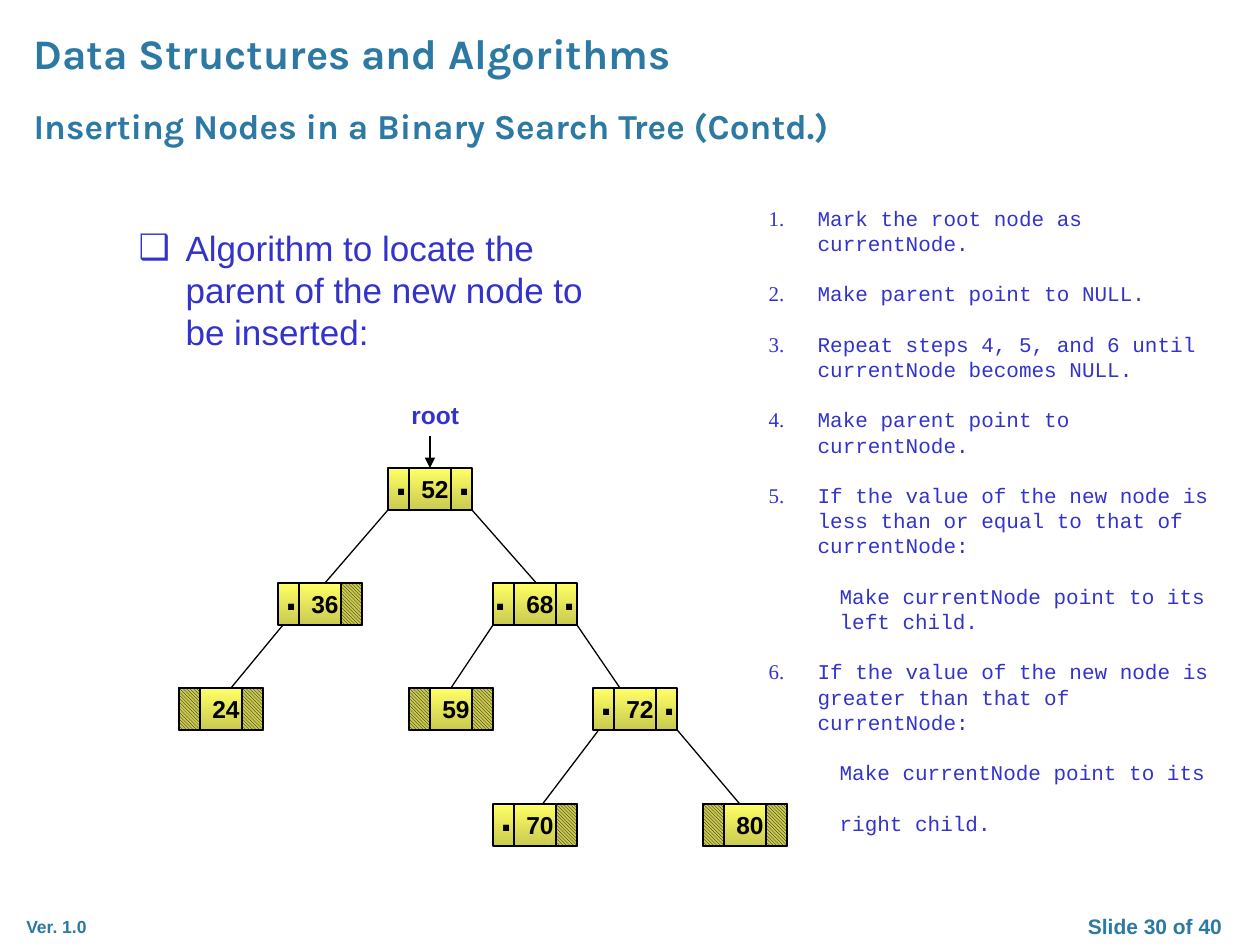
from lxml import etree
from pptx import Presentation
from pptx import util as u
from pptx.dml.color import RGBColor
from pptx.enum import dml, shapes, text
from pptx.oxml.ns import qn

SCALE = 914400 / 126
TEAL, BLUE, BLACK = "2C79A4", "3333CC", "000000"
YELLOW, OLIVE = "FFFF66", "CACA51"

TITLE = "Inserting Nodes in a Binary Search Tree (Contd.)"
INTRO = "Algorithm to locate the parent of the new node to be inserted:"
STEPS = [
    ("1.", "Mark the root node as currentNode."),
    ("2.", "Make parent point to NULL."),
    ("3.", "Repeat steps 4, 5, and 6 until currentNode becomes NULL."),
    ("4.", "Make parent point to currentNode."),
    ("5.", "If the value of the new node is less than or equal to that of currentNode:"),
    ("", "Make currentNode point to its left child."),
    ("6.", "If the value of the new node is greater than that of currentNode:"),
    ("", "Make currentNode point to its"),
    ("", "right child."),
]
LABELS = [
    ("Data Structures and Algorithms", (21, 21, 1050, 64), "Karla", 24, TEAL, "LEFT"),
    ("Ver. 1.0", (14, 910, 100, 34), "Arial", 10, TEAL, "LEFT"),
    ("Slide 30 of 40", (1050, 907, 210, 38), "Arial", 12, TEAL, "CENTER"),
    ("root", (399, 394, 84, 42), "Arial", 14, BLUE, "LEFT"),
]
ROOT_ARROW = (430, 436, 430, 468)

CELL, NODE_W, NODE_H = 21, 84, 42
DOT_W, DOT_H, DOT_RISE = 37, 63, 21
LEFT_DOT, RIGHT_DOT = -5, 58
NODES = [
    ("52", 388, 468, LEFT_DOT, RIGHT_DOT),
    ("36", 278, 583, LEFT_DOT, None),
    ("68", 493, 583, -11, RIGHT_DOT),
    ("24", 179, 688, None, None),
    ("59", 409, 688, None, None),
    ("72", 593, 688, LEFT_DOT, RIGHT_DOT),
    ("70", 493, 804, LEFT_DOT, None),
    ("80", 703, 804, None, None),
]
EDGES = [
    (388, 510, 325, 583), (472, 510, 546, 594),
    (283, 625, 231, 688), (493, 625, 451, 688), (577, 625, 620, 688),
    (598, 731, 535, 814), (651, 699, 766, 835),
]


def px(n):
    return u.Emu(round(n * SCALE))


def color(value):
    return RGBColor.from_string(value)


def assign(target, **values):
    for key, value in values.items():
        setattr(target, key, value)


def place(shape, box):
    assign(shape, **dict(zip(("left", "top", "width", "height"), map(px, box))))


def write(paragraph, words, font, size, ink, bold=False):
    run = paragraph.add_run()
    run.text = words
    assign(run.font, name=font, size=u.Pt(size), bold=bold)
    run.font.color.rgb = color(ink)


def frame_of(shape, wrap=True):
    assign(shape.text_frame, word_wrap=wrap, auto_size=text.MSO_AUTO_SIZE.NONE,
           vertical_anchor=text.MSO_ANCHOR.TOP)
    return shape.text_frame


def label(slide, words, box, font, size, ink, align="LEFT", wrap=True):
    frame = frame_of(slide.shapes.add_textbox(*map(px, box)), wrap)
    frame.paragraphs[0].alignment = getattr(text.PP_ALIGN, align)
    write(frame.paragraphs[0], words, font, size, ink, True)


def indent(paragraph, margin, first, bullet=None):
    props = paragraph._p.get_or_add_pPr()
    props.set("marL", str(px(margin)))
    props.set("indent", str(px(first)))
    if bullet:
        etree.SubElement(props, qn("a:buFont")).set("typeface", "Arial")
        etree.SubElement(props, qn("a:buChar")).set("char", bullet)
    else:
        etree.SubElement(props, qn("a:buNone"))


def line(slide, ends, arrow=False):
    connector = slide.shapes.add_connector(shapes.MSO_CONNECTOR.STRAIGHT, *map(px, ends))
    connector.line.width = u.Pt(0.75)
    connector.line.color.rgb = color(BLACK)
    props = connector._element.spPr
    if arrow:
        etree.SubElement(props.find(qn("a:ln")), qn("a:tailEnd")).set("type", "triangle")
    etree.SubElement(props, qn("a:effectLst"))


def block(slide, box, hatched=False):
    shape = slide.shapes.add_shape(shapes.MSO_SHAPE.RECTANGLE, *map(px, box))
    shape.shadow.inherit = False
    shape.line.width = u.Pt(0.75)
    shape.line.color.rgb = color(BLACK)
    fill = shape.fill
    if hatched:
        fill.patterned()
        fill.pattern = dml.MSO_PATTERN.DARK_DOWNWARD_DIAGONAL
        fill.fore_color.rgb = color(BLACK)
        fill.back_color.rgb = color(OLIVE)
    else:
        fill.gradient()
        fill.gradient_angle = 270
        for stop, position, shade in zip(fill.gradient_stops, (0, 1), (YELLOW, OLIVE)):
            stop.position = position
            stop.color.rgb = color(shade)


def node(slide, value, x, y, left_dot, right_dot):
    block(slide, (x, y, NODE_W, NODE_H))
    for divider in (x + CELL, x + NODE_W - CELL):
        line(slide, (divider, y, divider, y + NODE_H))
    for dot, cell_x in ((left_dot, x), (right_dot, x + NODE_W - CELL)):
        if dot is None:
            block(slide, (cell_x, y, CELL, NODE_H), hatched=True)
        else:
            label(slide, ".", (x + dot, y - DOT_RISE, DOT_W, DOT_H), "Arial", 24, BLACK, wrap=False)
    label(slide, value, (x + CELL, y, 53, NODE_H), "Arial", 14, BLACK, wrap=False)


def main():
    deck = Presentation()
    assign(deck, slide_width=px(1260), slide_height=px(945))
    slide = deck.slides.add_slide(deck.slide_layouts[3])
    title, intro, steps = slide.placeholders

    place(title, (21, 98, 945, 54))
    heading = frame_of(title).paragraphs[0]
    heading.alignment = text.PP_ALIGN.LEFT
    write(heading, TITLE, "Karla", 20, TEAL, True)

    place(intro, (126, 220, 473, 630))
    lead = frame_of(intro).paragraphs[0]
    indent(lead, 47, -47, "❑")
    assign(lead, space_before=u.Pt(0), line_spacing=u.Pt(24))
    write(lead, INTRO, "Arial", 20, BLUE)

    place(steps, (756, 199, 483, 660))
    frame = frame_of(steps)
    for i, (number, words) in enumerate(STEPS):
        step = frame.add_paragraph() if i else frame.paragraphs[0]
        assign(step, level=0 if number else 1, line_spacing=u.Pt(14.4),
               space_before=u.Pt(14.4 if i else 0))
        if number:
            indent(step, 49, -49)
            write(step, number, "Times New Roman", 12, BLUE)
            words = "\t" + words
        else:
            indent(step, 71, 0)
        write(step, words, "Courier New", 12, BLUE)

    for entry in LABELS:
        label(slide, *entry)
    for ends in EDGES:
        line(slide, ends)
    for entry in NODES:
        node(slide, *entry)
    line(slide, ROOT_ARROW, arrow=True)
    deck.save("out.pptx")


if __name__ == "__main__":
    main()
